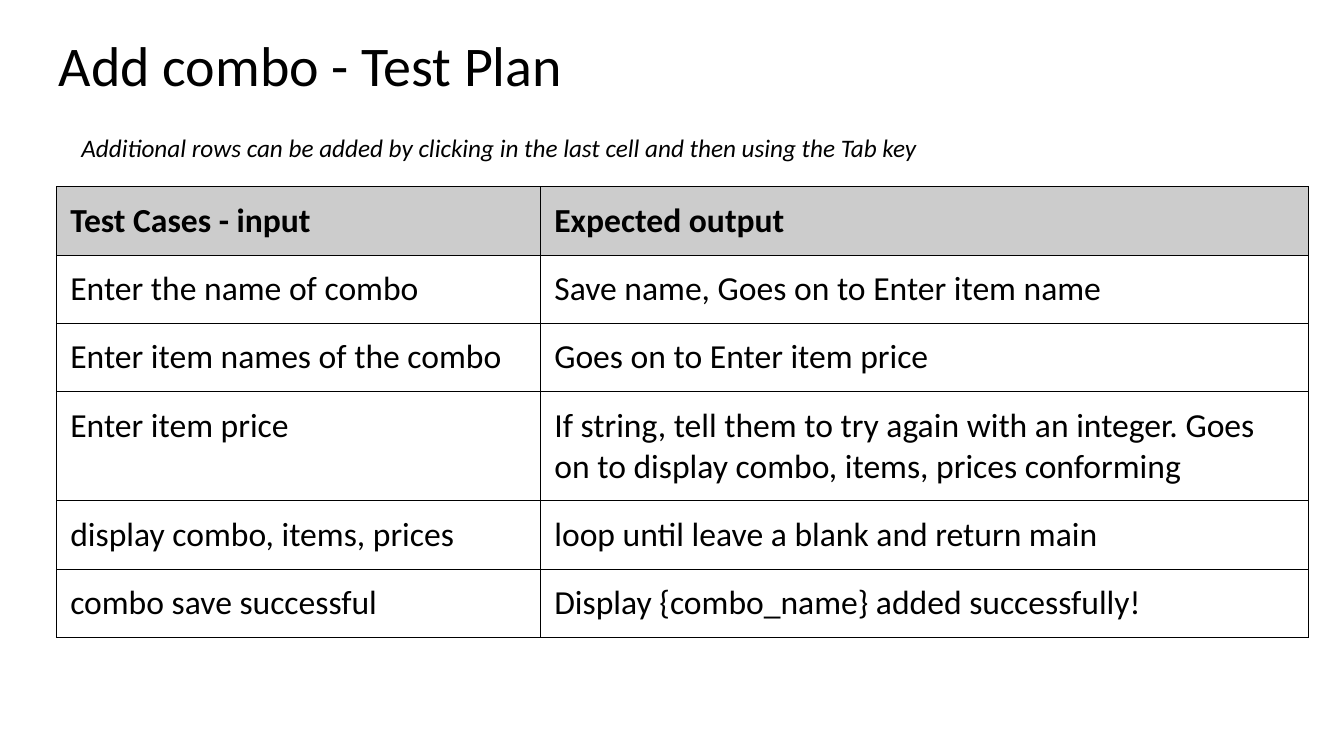
from dataclasses import dataclass

from lxml.etree import SubElement
from pptx import Presentation
from pptx.dml.color import RGBColor
from pptx.enum.text import MSO_ANCHOR, MSO_AUTO_SIZE, PP_ALIGN
from pptx.oxml.ns import qn
from pptx.util import Emu, Pt

EMU_PER_PX = 9525  # 96 px to the inch


def px(length):
    return Emu(length * EMU_PER_PX)


@dataclass(frozen=True)
class Theme:
    font: str = "Calibri"
    ink: str = "000000"
    header_fill: str = "CCCCCC"
    title_size: int = 40
    table_size: int = 24
    hint_size: int = 18
    border: float = 0.75
    inset: int = 13


def write(frame, text, *, size, font, color, bold=False, italic=False,
          spacing=None, inset=None):
    """Put one formatted paragraph into a text frame."""
    frame.word_wrap = True
    if inset is not None:
        frame.margin_left = frame.margin_right = px(inset)
        frame.margin_top = frame.margin_bottom = px(inset)
    paragraph = frame.paragraphs[0]
    paragraph.alignment = PP_ALIGN.LEFT
    if spacing:
        paragraph.line_spacing = spacing
    run = paragraph.add_run()
    run.text = text
    run.font.name = font
    run.font.size = Pt(size)
    run.font.bold = bold
    run.font.italic = italic
    run.font.color.rgb = RGBColor.from_string(color)


class SlideBuilder:
    def __init__(self, slide, theme):
        self.slide = slide
        self.theme = theme
        self.base = {"font": theme.font, "color": theme.ink}

    def title(self, text, left, top, width, height):
        heading = self.slide.shapes.title
        heading.left, heading.top = px(left), px(top)
        heading.width, heading.height = px(width), px(height)
        frame = heading.text_frame
        frame.auto_size = MSO_AUTO_SIZE.NONE
        frame.vertical_anchor = MSO_ANCHOR.TOP
        write(frame, text, size=self.theme.title_size, spacing=0.9,
              inset=self.theme.inset, **self.base)

    def hint(self, text, left, top, width, height):
        box = self.slide.shapes.add_textbox(px(left), px(top), px(width), px(height))
        box.text_frame.auto_size = MSO_AUTO_SIZE.SHAPE_TO_FIT_TEXT
        write(box.text_frame, text, size=self.theme.hint_size, italic=True, **self.base)

    def table(self, rows, left, top, column_widths, row_height):
        grid = self.slide.shapes.add_table(
            len(rows), len(column_widths), px(left), px(top),
            px(sum(column_widths)), px(row_height * len(rows))).table
        grid.first_row = grid.horz_banding = False
        for column, width in zip(grid.columns, column_widths):
            column.width = px(width)
        for r, texts in enumerate(rows):
            grid.rows[r].height = px(row_height)
            for c, text in enumerate(texts):
                self.cell(grid.cell(r, c), text, header=r == 0)

    def cell(self, cell, text, header):
        inset = px(self.theme.inset)
        cell.margin_left = cell.margin_right = inset
        cell.margin_top = cell.margin_bottom = inset
        cell.vertical_anchor = MSO_ANCHOR.TOP
        self.borders(cell)
        if header:
            cell.fill.solid()
            cell.fill.fore_color.rgb = RGBColor.from_string(self.theme.header_fill)
        else:
            cell.fill.background()
        write(cell.text_frame, text, size=self.theme.table_size, bold=header, **self.base)

    def borders(self, cell):
        properties = cell._tc.get_or_add_tcPr()
        for side in ("a:lnL", "a:lnR", "a:lnT", "a:lnB"):
            line = SubElement(properties, qn(side), w=str(Pt(self.theme.border)))
            fill = SubElement(line, qn("a:solidFill"))
            SubElement(fill, qn("a:srgbClr"), val=self.theme.ink)


TEST_PLAN = [
    ("Test Cases - input", "Expected output"),
    ("Enter the name of combo", "Save name, Goes on to Enter item name"),
    ("Enter item names of the combo", "Goes on to Enter item price"),
    ("Enter item price",
     "If string, tell them to try again with an integer. "
     "Goes on to display combo, items, prices conforming"),
    ("display combo, items, prices", "loop until leave a blank and return main"),
    ("combo save successful", "Display {combo_name} added successfully!"),
]


def main():
    deck = Presentation()
    deck.slide_width, deck.slide_height = px(1280), px(720)
    title_only = deck.slide_layouts[5]
    builder = SlideBuilder(deck.slides.add_slide(title_only), Theme())

    # Heading
    builder.title("Add combo - Test Plan", 43, 23, 1192, 81)

    # Test cases and their expected output
    builder.table(TEST_PLAN, 54, 178, column_widths=(461, 731), row_height=64)

    # Hint above the table
    builder.hint("Additional rows can be added by clicking in the last cell "
                 "and then using the Tab key", 68, 121, 1050, 38)

    deck.save("out.pptx")


if __name__ == "__main__":
    main()
